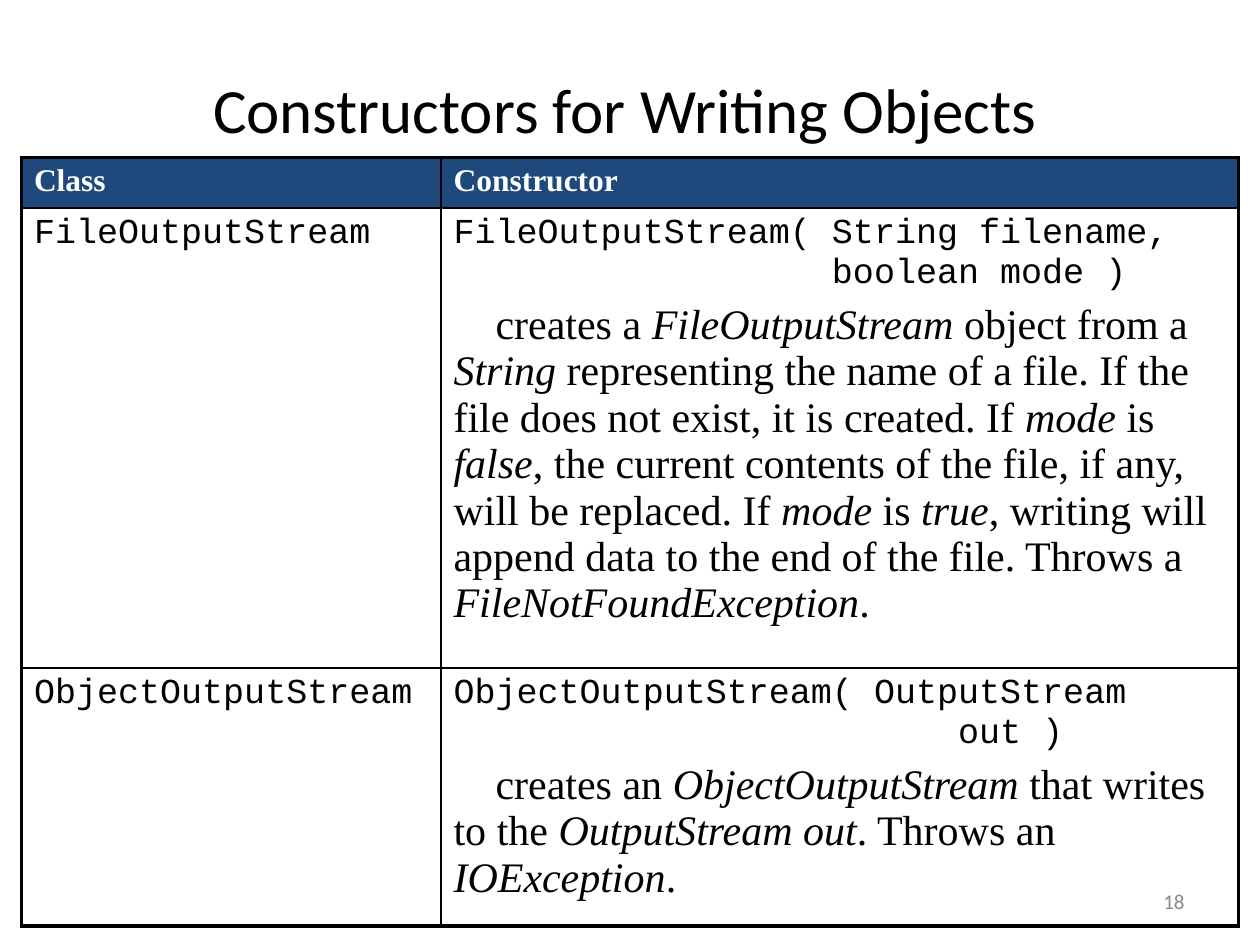
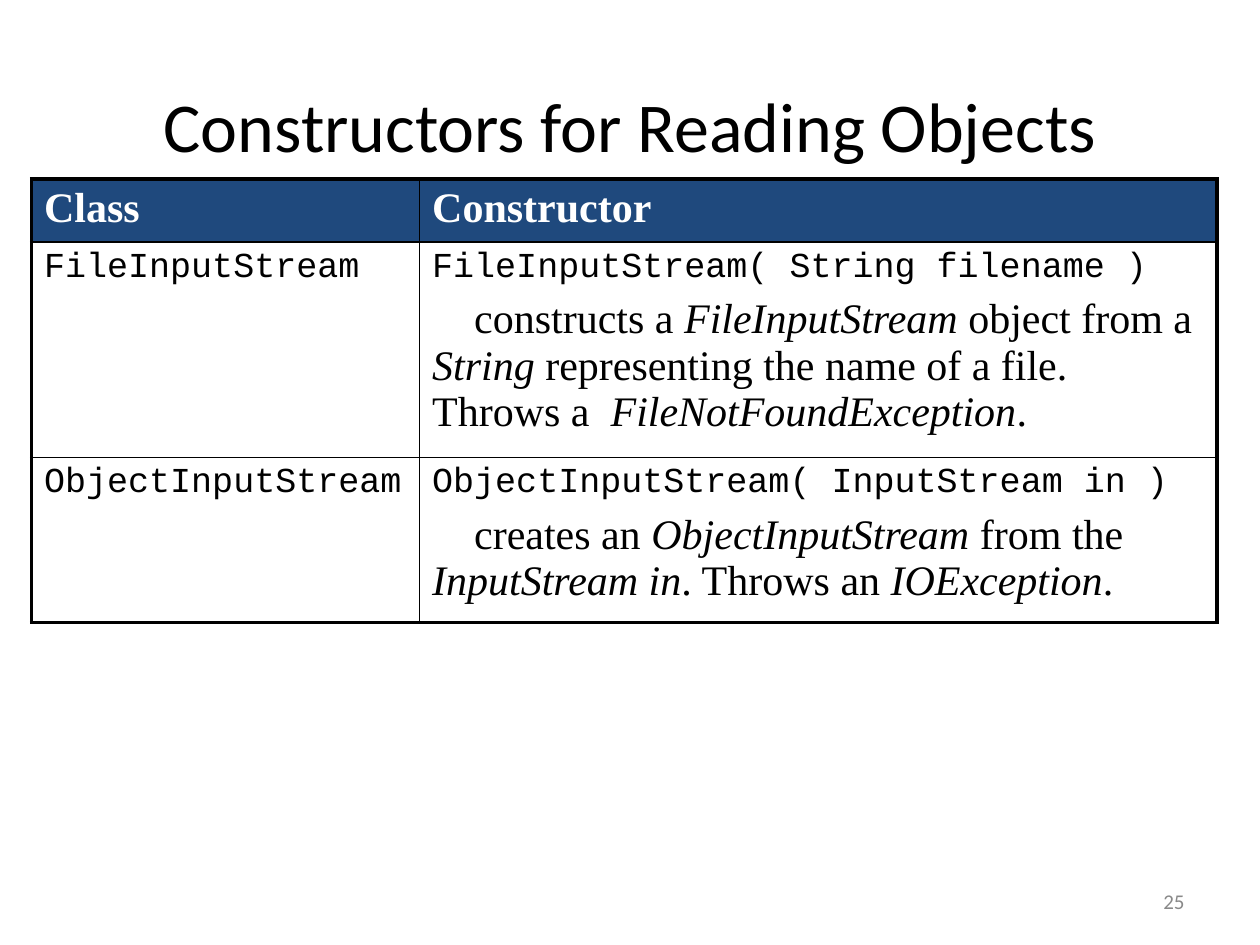
from lxml.etree import SubElement
from pptx import Presentation
from pptx.dml.color import RGBColor
from pptx.enum.text import MSO_ANCHOR, PP_ALIGN
from pptx.oxml.ns import qn
from pptx.util import Inches, Pt

BLACK, WHITE, NAVY, GREY = "000000", "FFFFFF", "1F497D", "898989"
SANS, SERIF, MONO = "Calibri", "Times New Roman", "Courier New"
CODE_SIZE, BODY_SIZE = 20, 24
CONSTRUCTOR_W = 6.33

slides = [
    dict(
        title="Constructors for Writing Objects", title_at=(0.67, 0.5, 8.58, 0.72), title_size=36,
        table_at=(0.17, 1.25), class_w=3.33, heights=(0.4, 3.65, 2.05), head_size=18, number="18",
        rows=[
            ("FileOutputStream",
             "FileOutputStream( String filename,\n                  boolean mode )",
             "creates a *FileOutputStream* object from a *String* representing the name of a file. "
             "If the file does not exist, it is created. If *mode* is *false*, the current contents "
             "of the file, if any, will be replaced. If *mode* is *true*, writing will append data "
             "to the end of the file. Throws a *FileNotFoundException*."),
            ("ObjectOutputStream",
             "ObjectOutputStream( OutputStream\n                        out )",
             "creates an *ObjectOutputStream* that writes to the *OutputStream out*. "
             "Throws an *IOException*."),
        ]),
    dict(
        title="Constructors for Reading Objects", title_at=(0.5, 0.36, 9, 1.25), title_size=40,
        table_at=(0.25, 1.42), class_w=3.08, heights=(0.5, 1.71, 1.31), head_size=24, number="25",
        rows=[
            ("FileInputStream",
             "FileInputStream( String filename )",
             "constructs a *FileInputStream* object from a *String* representing the name of a file. "
             "Throws a  *FileNotFoundException*."),
            ("ObjectInputStream",
             "ObjectInputStream( InputStream in )",
             "creates an *ObjectInputStream* from the *InputStream in*. Throws an *IOException*."),
        ]),
]


def style(p, size, font, color, bold=False):
    for r in p.runs:
        r.font.size, r.font.name, r.font.bold = Pt(size), font, bold
        r.font.color.rgb = RGBColor.from_string(color)


def add_label(s, text, at, size, color, align):
    tf = s.shapes.add_textbox(*map(Inches, at)).text_frame
    tf.word_wrap = True
    tf.vertical_anchor = MSO_ANCHOR.MIDDLE
    tf.text = text
    tf.paragraphs[0].alignment = align
    style(tf.paragraphs[0], size, SANS, color)


prs = Presentation()
prs.slide_width, prs.slide_height = Inches(10), Inches(7.5)

for data in slides:
    s = prs.slides.add_slide(prs.slide_layouts[6])
    add_label(s, data["title"], data["title_at"], data["title_size"], BLACK, PP_ALIGN.CENTER)

    widths, heights = (data["class_w"], CONSTRUCTOR_W), data["heights"]
    box = (*data["table_at"], sum(widths), sum(heights))
    table = s.shapes.add_table(len(heights), len(widths), *map(Inches, box)).table
    table.horz_banding = False
    for column, width in zip(table.columns, widths):
        column.width = Inches(width)
    for row, height in zip(table.rows, heights):
        row.height = Inches(height)

    for col, heading in enumerate(("Class", "Constructor")):
        cell = table.cell(0, col)
        cell.text_frame.text = heading
        style(cell.text_frame.paragraphs[0], data["head_size"], SERIF, WHITE, bold=True)

    for row, (name, signature, description) in enumerate(data["rows"], start=1):
        for col, code in enumerate((name, signature)):
            p = table.cell(row, col).text_frame.paragraphs[0]
            p.text = code
            style(p, CODE_SIZE, MONO, BLACK)
        p = table.cell(row, 1).text_frame.add_paragraph()
        p.space_before = Pt(0.2 * BODY_SIZE)
        p._p.get_or_add_pPr().set("indent", str(Pt(1.2 * CODE_SIZE)))
        for i, part in enumerate(description.split("*")):
            r = p.add_run()
            r.text = part
            r.font.italic = i % 2 == 1
        style(p, BODY_SIZE, SERIF, BLACK)

    last_row, last_col = len(heights) - 1, len(widths) - 1
    for row in range(len(heights)):
        for col in range(len(widths)):
            cell = table.cell(row, col)
            outer = {"lnL": col == 0, "lnR": col == last_col, "lnT": row == 0, "lnB": row == last_row}
            tcPr = cell._tc.get_or_add_tcPr()
            for side, is_outer in outer.items():
                ln = SubElement(tcPr, qn(f"a:{side}"), w=str(Pt(2.25 if is_outer else 1)))
                SubElement(SubElement(ln, qn("a:solidFill")), qn("a:srgbClr"), val=BLACK)
            if row == 0:
                cell.fill.solid()
                cell.fill.fore_color.rgb = RGBColor.from_string(NAVY)
            else:
                cell.fill.background()

    add_label(s, data["number"], (7.17, 6.95, 2.33, 0.4), 12, GREY, PP_ALIGN.RIGHT)

prs.save("out.pptx")
